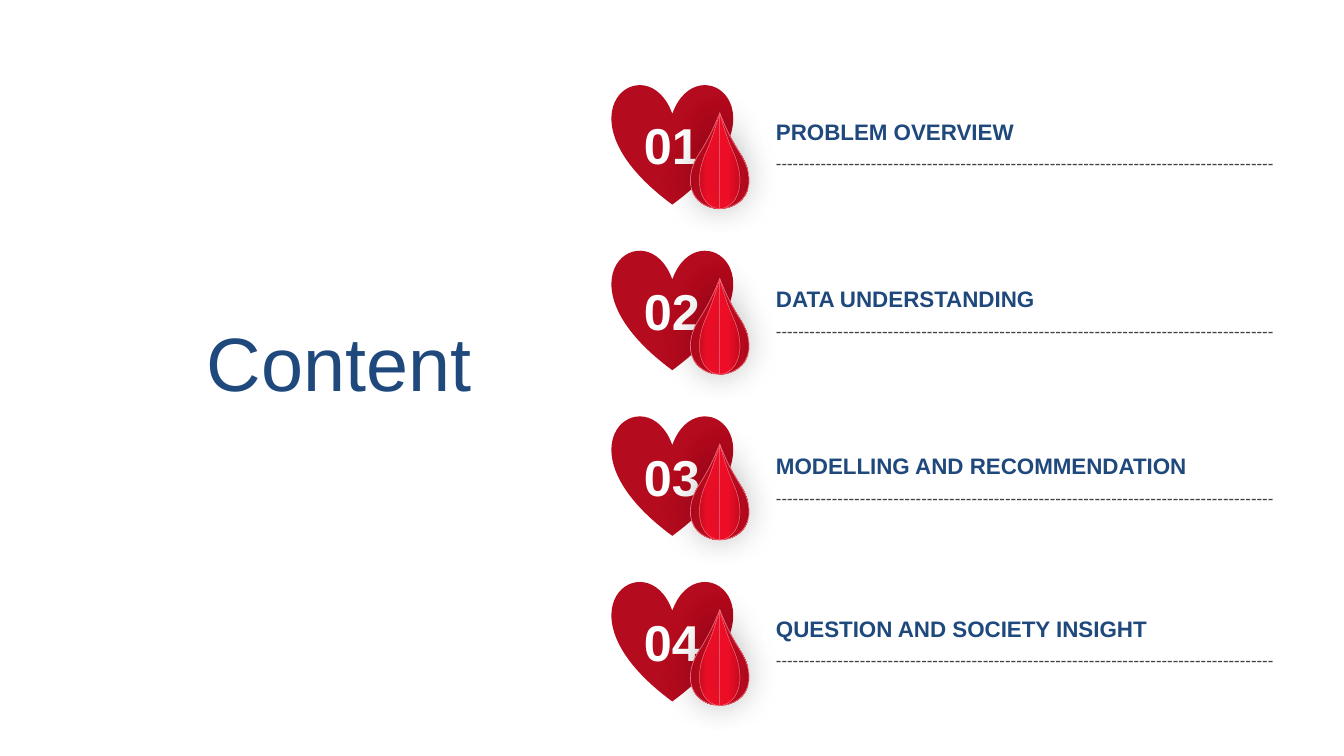
from dataclasses import dataclass

import lxml.etree
import pptx
import pptx.dml.color
import pptx.enum.shapes
import pptx.enum.text
import pptx.oxml.ns
import pptx.util

Inches = pptx.util.Inches
Align = pptx.enum.text.PP_ALIGN
Anchor = pptx.enum.text.MSO_ANCHOR
qn = pptx.oxml.ns.qn

BLUE, WHITE, GREY = "1F497D", "FFFFFF", "404040"
HEART_RED, EDGE_PINK = "B40B1E", "F66F7E"
FIRST_HEART_TOP, HEART_PITCH = 0.83, 1.643
DROP_X, DROP_OFFSET, DROP_WIDTH, DROP_HEIGHT = 7.14, 0.29, 0.29, 0.95
# Half outline of the drop, from its base up to its tip: two handles and an end
DROP_CURVES = [
    ((0.08, 0.95), (0.16, 0.92), (0.22, 0.86)),
    ((0.33, 0.74), (0.30, 0.57), (0.22, 0.43)),
    ((0.13, 0.29), (0.07, 0.18), (0, 0)),
]


@dataclass
class Topic:
    label: str
    top: float


@dataclass
class Petal:
    side: int
    scale: float
    line: float
    stops: list[tuple[int, str, int]]


TOPICS = [
    Topic("PROBLEM OVERVIEW", 1.12),
    Topic("DATA UNDERSTANDING", 2.78),
    Topic("MODELLING AND RECOMMENDATION", 4.44),
    Topic("QUESTION AND SOCIETY INSIGHT", 6.05),
]
PETALS = [
    Petal(-1, 1, 0.5, [(0, "B40B1E", 100), (25, "C00C20", 100), (100, "D80E24", 100)]),
    Petal(1, 1, 0.5, [(0, "D80E24", 100), (75, "C00C20", 100), (100, "B40B1E", 100)]),
    Petal(-1, 0.69, 0.35, [(0, "CC0D22", 100), (40, "F00F28", 100), (100, "F00F28", 100)]),
    Petal(1, 0.69, 0.35, [(0, "F00F28", 90), (40, "F00F28", 100), (100, "C00C20", 100)]),
]


def rgb(value: str) -> pptx.dml.color.RGBColor:
    return pptx.dml.color.RGBColor.from_string(value)


def write(shape, text: str, size: float, color: str, bold: bool = False,
          align=Align.LEFT, anchor=Anchor.TOP) -> None:
    tf = shape.text_frame
    frame_format = {"word_wrap": True, "vertical_anchor": anchor,
                    "auto_size": pptx.enum.text.MSO_AUTO_SIZE.NONE}
    for name, value in frame_format.items():
        setattr(tf, name, value)
    p = tf.paragraphs[0]
    p.alignment = align
    r = p.add_run()
    r.text = text
    font_format = {"name": "Arial", "size": pptx.util.Pt(size), "bold": bold}
    for name, value in font_format.items():
        setattr(r.font, name, value)
    r.font.color.rgb = rgb(color)


def add_color(parent, color: str, opacity: int) -> None:
    clr = lxml.etree.SubElement(parent, qn("a:srgbClr"), val=color)
    if opacity < 100:
        lxml.etree.SubElement(clr, qn("a:alpha"), val=str(opacity * 1000))


def fill_gradient(shape, stops: list[tuple[int, str, int]]) -> None:
    shape.fill.gradient()
    shape.fill.gradient_angle = 0
    stop_list = shape._element.spPr.find(f"{qn('a:gradFill')}/{qn('a:gsLst')}")
    for stop in list(stop_list):
        stop_list.remove(stop)
    for position, color, opacity in stops:
        gs = lxml.etree.SubElement(stop_list, qn("a:gs"), pos=str(position * 1000))
        add_color(gs, color, opacity)


def add_soft_shadow(shape) -> None:
    shape.shadow.inherit = False
    effects = shape._element.spPr.find(qn("a:effectLst"))
    shadow = lxml.etree.SubElement(
        effects, qn("a:outerShdw"), blurRad=str(pptx.util.Pt(25)),
        dist=str(pptx.util.Pt(1)), dir=str(270 * 60000), algn="ctr", rotWithShape="0")
    add_color(shadow, "000000", 15)


def curve_outline(shape, petal: Petal) -> None:
    """Replace the box outline of a freeform with the curves of half a drop."""
    outline = next(shape._element.iter(qn("a:path")))
    for command in list(outline):
        outline.remove(command)
    center = DROP_WIDTH * petal.scale if petal.side < 0 else 0
    segments = [("moveTo", [(0, 0)]), ("lnTo", [(0, DROP_HEIGHT)])]
    segments += [("cubicBezTo", curve) for curve in DROP_CURVES]
    for command, points in segments:
        element = lxml.etree.SubElement(outline, qn(f"a:{command}"))
        for x, y in points:
            lxml.etree.SubElement(element, qn("a:pt"), y=str(Inches(y)),
                                  x=str(Inches(center + petal.side * petal.scale * x)))
    lxml.etree.SubElement(outline, qn("a:close"))


def add_petal(shapes, petal: Petal, top: float) -> None:
    x0, y0 = Inches(DROP_X), Inches(top)
    x1 = x0 + petal.side * Inches(DROP_WIDTH * petal.scale)
    y1 = y0 + Inches(DROP_HEIGHT)
    builder = shapes.build_freeform(x0, y0)
    builder.add_line_segments([(x1, y0), (x1, y1), (x0, y1)], close=True)
    sp = builder.convert_to_shape()
    curve_outline(sp, petal)
    fill_gradient(sp, petal.stops)
    sp.line.color.rgb = rgb(EDGE_PINK)
    sp.line.width = pptx.util.Pt(petal.line)
    add_soft_shadow(sp)


def add_badge(s, number: int, top: float) -> None:
    """Draw a numbered heart with a folded drop at its lower right."""
    shapes = s.shapes.add_group_shape().shapes
    heart = shapes.add_shape(pptx.enum.shapes.MSO_SHAPE.HEART,
                             Inches(6.07), Inches(top), Inches(1.2), Inches(1.2))
    heart.shadow.inherit = False
    heart.fill.solid()
    heart.fill.fore_color.rgb = rgb(HEART_RED)
    heart.line.fill.background()
    box = shapes.add_textbox(Inches(6.26), Inches(top + 0.25), Inches(0.81), Inches(0.71))
    write(box, f"{number:02}", 36, WHITE, True, Align.CENTER, Anchor.MIDDLE)
    for petal in PETALS:
        add_petal(shapes, petal, top + DROP_OFFSET)


def add_topic(s, topic: Topic) -> None:
    shapes = s.shapes.add_group_shape().shapes
    rule = shapes.add_textbox(Inches(7.6), Inches(topic.top + 0.35), Inches(5.34), Inches(0.3))
    write(rule, "-" * 89, 12, GREY)
    label = shapes.add_textbox(Inches(7.6), Inches(topic.top), Inches(5.34), Inches(0.37))
    write(label, topic.label, 16, BLUE, True)


def main() -> None:
    prs = pptx.Presentation()
    prs.slide_width, prs.slide_height = Inches(40 / 3), Inches(7.5)
    s = prs.slides.add_slide(prs.slide_layouts.get_by_name("Title Only"))
    title = s.shapes.title
    place = {"left": 0.14, "top": 3.08, "width": 4.64, "height": 1.01}
    for name, value in place.items():
        setattr(title, name, Inches(value))
    write(title, "Content", 54, BLUE, align=Align.RIGHT, anchor=Anchor.MIDDLE)
    for i, topic in enumerate(TOPICS):
        add_badge(s, i + 1, FIRST_HEART_TOP + i * HEART_PITCH)
    for topic in TOPICS:
        add_topic(s, topic)
    prs.save("out.pptx")


if __name__ == "__main__":
    main()
